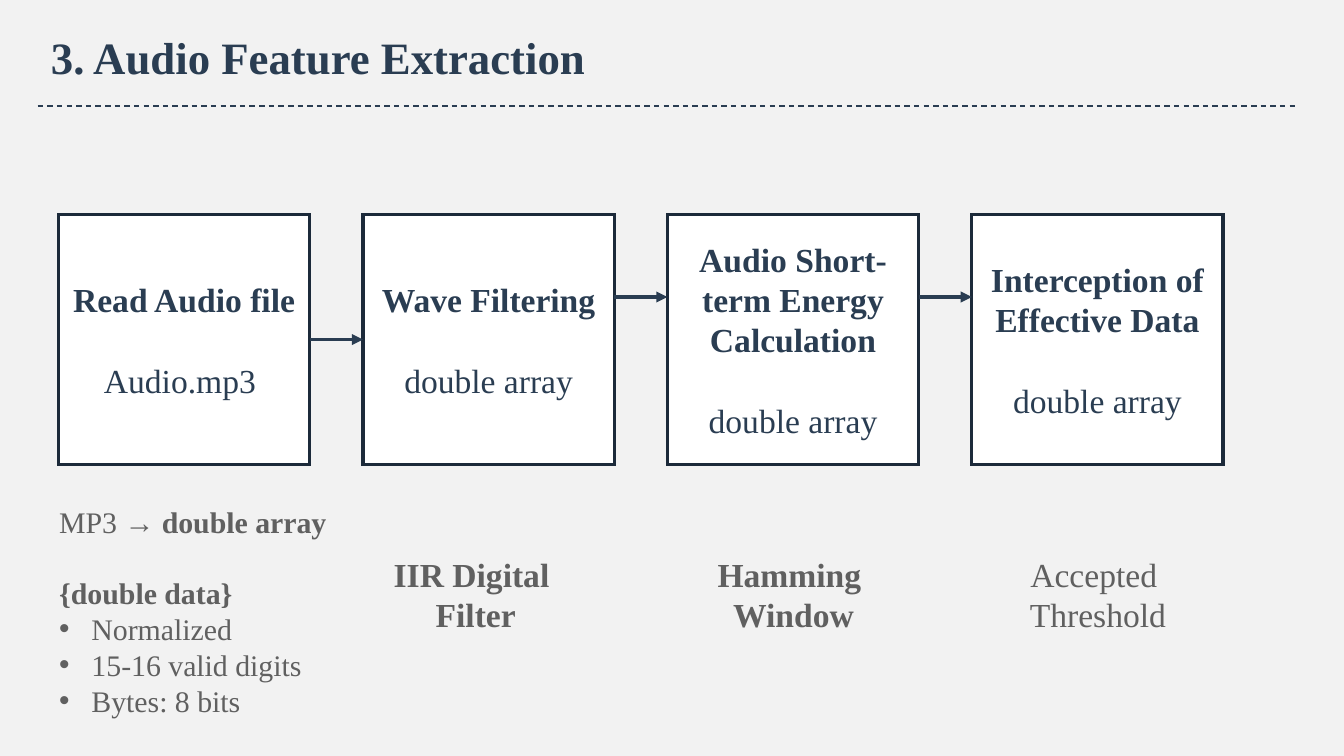
from lxml import etree
from pptx import Presentation
from pptx.dml.color import RGBColor
from pptx.enum.dml import MSO_LINE
from pptx.enum.shapes import MSO_CONNECTOR, MSO_SHAPE
from pptx.enum.text import MSO_ANCHOR, MSO_AUTO_SIZE, PP_ALIGN
from pptx.oxml.ns import qn
from pptx.util import Inches, Pt

NAVY = RGBColor(0x2A, 0x3D, 0x52)
EDGE = RGBColor(0x1C, 0x2A, 0x3A)
GRAY = RGBColor(0x60, 0x60, 0x60)
WHITE = RGBColor(0xFF, 0xFF, 0xFF)
PALE = RGBColor(0xF2, 0xF2, 0xF2)
DASH = MSO_LINE.DASH
LINE = MSO_CONNECTOR.STRAIGHT
RECT = MSO_SHAPE.RECTANGLE
MIDDLE, TOP = MSO_ANCHOR.MIDDLE, MSO_ANCHOR.TOP
GROW = MSO_AUTO_SIZE.SHAPE_TO_FIT_TEXT
LEFT, CENTER = PP_ALIGN.LEFT, PP_ALIGN.CENTER
FONT = "Times New Roman"
CELL = 0.1  # side of a grid cell in inches


def grid(*cells):
    return [Inches(n * CELL) for n in cells]


def write(para, *runs, size=18, color=NAVY, align=LEFT, gap=0, bullet=False):
    """Fill a paragraph with (text, bold) runs."""
    para.alignment = align
    para.space_before = Pt(gap)
    for text, bold in runs:
        run = para.add_run()
        run.text = text
        font = run.font
        font.name, font.size, font.bold = FONT, Pt(size), bold
        font.color.rgb = color
    if bullet:
        props = para._p.get_or_add_pPr()
        indent = Inches(0.24)
        props.set("marL", str(indent))
        props.set("indent", str(-indent))
        face = etree.SubElement(props, qn("a:buFont"))
        face.set("typeface", "Arial")
        etree.SubElement(props, qn("a:buChar")).set("char", "•")


class Deck:
    def __init__(self, wide, ratio):
        self.file = Presentation()
        self.file.slide_width = Inches(wide)
        self.file.slide_height = Inches(wide * ratio)
        self.slide = self.file.slides.add_slide(self.file.slide_layouts[6])
        back = self.slide.background.fill
        back.solid()
        back.fore_color.rgb = PALE

    def fill(self, frame, paras, anchor=TOP, **style):
        frame.vertical_anchor = anchor
        for i, (runs, extra) in enumerate(paras):
            para = frame.add_paragraph() if i else frame.paragraphs[0]
            write(para, *runs, **{**style, **extra})

    def text(self, area, paras, wrap=True, **style):
        frame = self.slide.shapes.add_textbox(*grid(*area)).text_frame
        frame.word_wrap = wrap
        frame.auto_size = GROW
        self.fill(frame, paras, **style)

    def box(self, area, paras, **style):
        shape = self.slide.shapes.add_shape(RECT, *grid(*area))
        shape.shadow.inherit = False
        shape.fill.solid()
        shape.fill.fore_color.rgb = WHITE
        shape.line.color.rgb = EDGE
        shape.line.width = Pt(1.75)
        etree.SubElement(shape.line._get_or_add_ln(), qn("a:miter"))
        shape.text_frame.word_wrap = True
        self.fill(shape.text_frame, paras, anchor=MIDDLE, align=CENTER, **style)

    def line(self, start, end, row, width, dash=None, arrow=False):
        link = self.slide.shapes.add_connector(LINE, *grid(start, row, end, row))
        link.line.color.rgb = NAVY
        link.line.width = Pt(width)
        if dash:
            link.line.dash_style = dash
        if arrow:
            tip = etree.SubElement(link.line._get_or_add_ln(), qn("a:tailEnd"))
            tip.set("type", "triangle")
        etree.SubElement(link._element.spPr, qn("a:effectLst"))


def main():
    deck = Deck(10, 9 / 16)

    # Title and rule
    title = [([("3. Audio Feature Extraction", True)], {})]
    deck.text((2.8, 1.7, 65.2, 5), title, size=24)
    deck.line(2.8, 96.5, 7.9, 0.75, dash=DASH)

    # Steps of the pipeline
    left, top, wide, high, pitch = 4.36, 15.97, 18.7, 18.6, 22.65
    steps = [
        ("Read Audio file", "Audio.mp3 "),
        ("Wave Filtering", "double array"),
        ("Audio Short-term Energy Calculation", "double array"),
        ("Interception of Effective Data", "double array"),
    ]
    for i, (name, data) in enumerate(steps):
        paras = [([(name, True)], {}), ([(data, False)], {"gap": 21.6})]
        deck.box((left + i * pitch, top, wide, high), paras)

    # Arrows between the steps
    for i, row in enumerate((25.27, 22.1, 22.1)):
        start = left + wide + i * pitch
        deck.line(start, start + pitch - wide, row, 1.75, arrow=True)

    # Notes on the data format
    notes = [
        ([("MP3 ", False), ("→ double array", True)], {}),
        ([("{double data}", True)], {"gap": 19.2}),
    ]
    for item in ("Normalized", "15-16 valid digits", "Bytes: 8 bits"):
        notes.append(([(item, False)], {"bullet": True}))
    deck.text((3.42, 36.97, 29.8, 17), notes, size=16, color=GRAY)

    # Method under each later step
    methods = [
        (28.3, 14.2, True, ("IIR Digital ", "Filter")),
        (52.4, 13.3, True, ("Hamming ", "Window")),
        (75.5, 12.4, False, ("Accepted ", "Threshold")),
    ]
    for x, width, bold, words in methods:
        paras = [([(word, bold)], {}) for word in words]
        deck.text((x, 40.7, width, 7), paras, wrap=False, color=GRAY, align=CENTER)

    deck.file.save("out.pptx")


if __name__ == "__main__":
    main()
